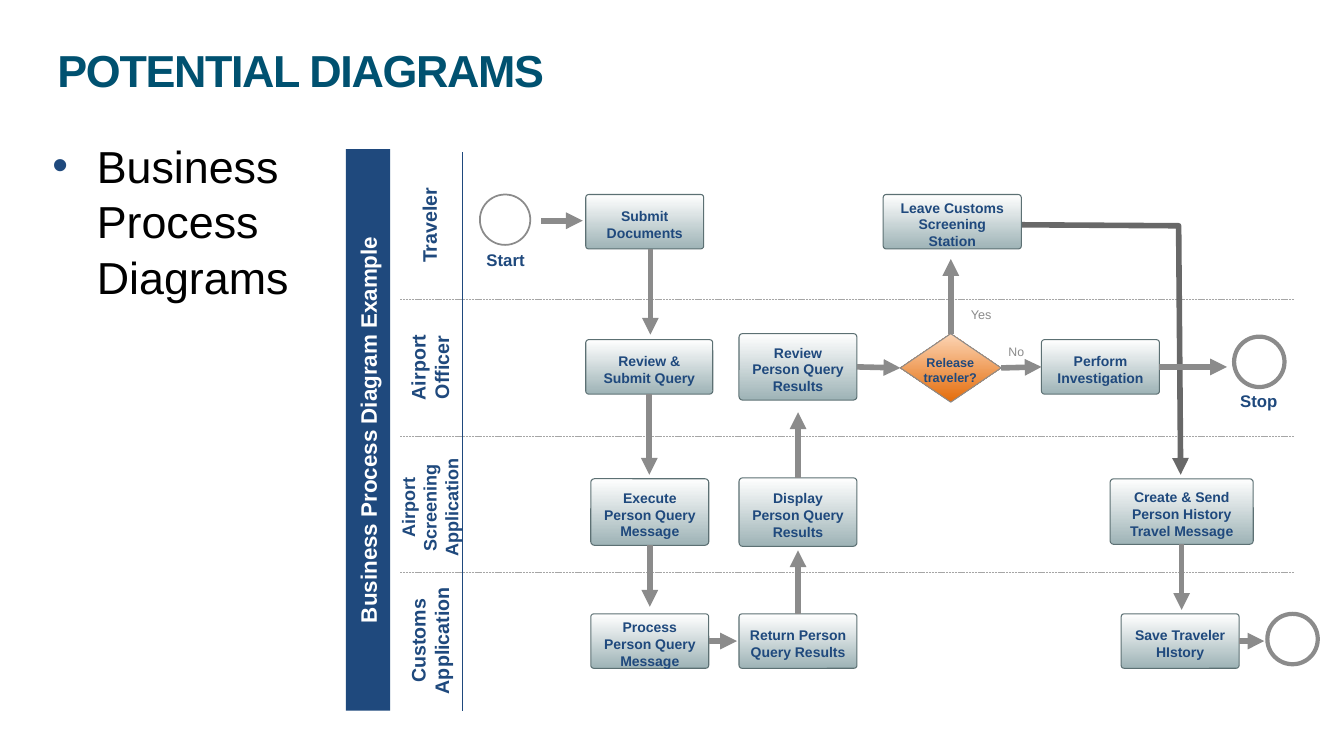
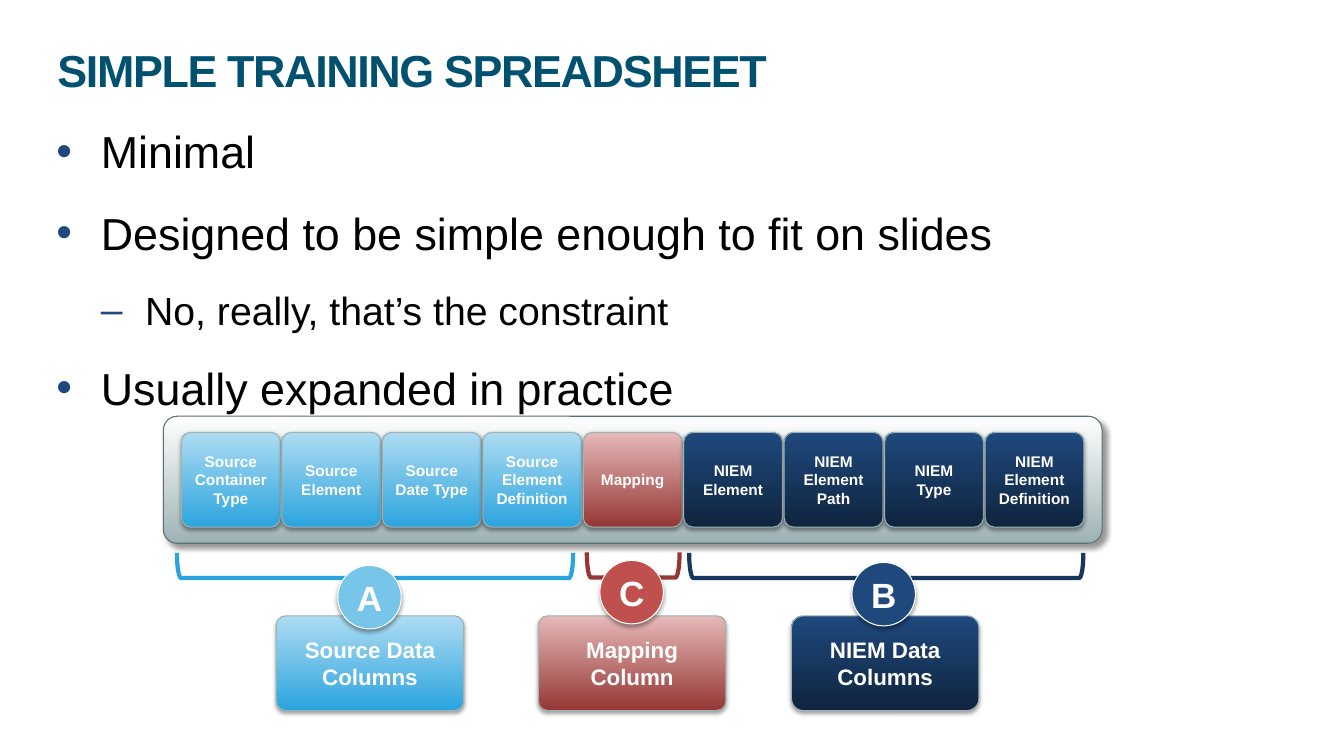
from lxml import etree
from pptx import Presentation
from pptx import util as u
from pptx.dml import color as dml_color
from pptx.enum import dml, shapes, text
from pptx.oxml import ns

NAVY, GRAY, WHITE, STEEL = "1F497D", "8B8B8B", "FFFFFF", "9EB3B6"
SILVER_FADE = (STEEL, WHITE)
SKY_FADE = ("2BA4DE", "AEDCF2")
RED_FADE = ("953735", "E6B9B8")
NAVY_FADE = ("0F243E", NAVY)
CHIP_SHADOW = (38, 3.1, 1.6, 90)
rgb = dml_color.RGBColor.from_string
kinds = shapes.MSO_SHAPE
STRAIGHT = shapes.MSO_CONNECTOR.STRAIGHT


def write(box, words, size=10, color=NAVY, bold=True, align=text.PP_ALIGN.CENTER,
          anchor=text.MSO_ANCHOR.MIDDLE, inset=(0.1, 0.05, 0.1, 0.05)):
    frame = box.text_frame
    para = frame.add_paragraph() if frame.text else frame.paragraphs[0]
    frame.word_wrap = True
    frame.auto_size = text.MSO_AUTO_SIZE.NONE
    frame.vertical_anchor = anchor
    frame.margin_left, frame.margin_top, frame.margin_right, frame.margin_bottom = map(u.Inches, inset)
    para.alignment = align
    span = para.add_run()
    span.text = words
    span.font.name = "Arial"
    span.font.size = u.Pt(size)
    span.font.bold = bold
    span.font.color.rgb = rgb(color)
    return para


def style(item, line=None, width=0.75, fill=None, shadow=None, arrow=False):
    if isinstance(fill, tuple):
        item.fill.gradient()
        item.fill.gradient_angle = 90
        for stop, color in zip(item.fill.gradient_stops, fill):
            stop.color.rgb = rgb(color)
    elif fill:
        item.fill.solid()
        item.fill.fore_color.rgb = rgb(fill)
    elif hasattr(item, "fill"):
        item.fill.background()
    if line:
        item.line.color.rgb = rgb(line)
        item.line.width = u.Pt(width)
    else:
        item.line.fill.background()
    properties = item._element.spPr
    if arrow:
        etree.SubElement(properties.find(ns.qn("a:ln")), ns.qn("a:tailEnd"), type="triangle")
    effects = etree.SubElement(properties, ns.qn("a:effectLst"))
    if shadow:
        alpha, blur, distance, angle = shadow
        outer = etree.SubElement(effects, ns.qn("a:outerShdw"), blurRad=str(u.Pt(blur)),
                                 dist=str(u.Pt(distance)), dir=str(angle * 60000),
                                 algn="ctr", rotWithShape="0")
        tone = etree.SubElement(outer, ns.qn("a:srgbClr"), val="000000")
        etree.SubElement(tone, ns.qn("a:alpha"), val=str(alpha * 1000))


deck = Presentation()
deck.slide_width, deck.slide_height = u.Inches(13.33), u.Inches(7.5)
layout = deck.slide_layouts[1]
heading = layout.placeholders[0]
heading.left, heading.top, heading.width, heading.height = map(u.Inches, (0, 0.45, 13.33, 0.58))

levels = [(32, 0.5, "•"), (28, 0.94, "–")]
outlines = [
    ("POTENTIAL DIAGRAMS", (0.38, 1.27, 3.82, 4.11), [("Business Process Diagrams", 0)]),
    ("SIMPLE TRAINING SPREADSHEET", (0.42, 1.13, 11.25, 3.14), [
        ("Minimal", 0),
        ("Designed to be simple enough to fit on slides", 0),
        ("No, really, that’s the constraint", 1),
        ("Usually expanded in practice", 0)]),
]
pages = []
for title, place, items in outlines:
    page = deck.slides.add_slide(layout)
    pages.append(page)
    para = write(page.shapes.title, title, size=32, color="005170",
                 align=text.PP_ALIGN.LEFT, inset=(0.57, 0.05, 0.1, 0.05))
    para.line_spacing = 0.8
    para.runs[0].font._element.set("spc", "-100")
    body = page.placeholders[1]
    body.left, body.top, body.width, body.height = map(u.Inches, place)
    for index, (words, level) in enumerate(items):
        size, margin, mark = levels[level]
        para = write(body, words, size=size, color="000000", bold=False, align=text.PP_ALIGN.LEFT,
                     anchor=text.MSO_ANCHOR.TOP, inset=(0.08, 0.08, 0.1, 0.05))
        para.level = level
        para.line_spacing = 1.04
        para.space_before = u.Pt(6 if index else 0)
        para.space_after = u.Pt(12)
        properties = para._p.get_or_add_pPr()
        properties.set("marL", str(u.Inches(margin)))
        properties.set("indent", str(u.Inches(-0.44)))
        bullet_color = etree.SubElement(properties, ns.qn("a:buClr"))
        etree.SubElement(bullet_color, ns.qn("a:srgbClr"), val=NAVY)
        etree.SubElement(properties, ns.qn("a:buChar"), char=mark)

process, spreadsheet = pages

banner = process.shapes.add_shape(kinds.RECTANGLE, *map(u.Inches, (3.43, 1.48, 0.44, 5.57)))
style(banner, fill=NAVY)
write(banner, "Business Process Diagram Example", size=16, color=WHITE)
banner.text_frame._txBody.bodyPr.set("vert", "vert270")

lanes = [
    ("Traveler", (3.53, 2.04, 1.45, 0.39), 14),
    ("Airport Officer", (3.59, 3.45, 1.34, 0.39), 14),
    ("Airport Screening Application", (3.59, 4.7, 1.34, 0.67), 12.9),
    ("Customs Application", (3.59, 6.02, 1.34, 0.67), 14),
]
for words, place, size in lanes:
    lane = process.shapes.add_textbox(*map(u.Inches, place))
    lane.rotation = 270
    write(lane, words, size=size)

for y in (2.97, 4.33, 5.68):
    divider = process.shapes.add_connector(STRAIGHT, *map(u.Inches, (3.97, y, 12.84, y)))
    style(divider, line="A6A6A6", width=0.5)
    divider.line.dash_style = dml.MSO_LINE.SQUARE_DOT
axis = process.shapes.add_connector(STRAIGHT, *map(u.Inches, (4.59, 1.51, 4.59, 7.05)))
style(axis, line=NAVY, width=1)

route = process.shapes.build_freeform(u.Inches(10.13), u.Inches(2.23))
route.add_line_segments([(u.Inches(x), u.Inches(y)) for x, y in ((11.69, 2.24), (11.71, 4.71))], close=False)
style(route.convert_to_shape(), line="686868", width=4, arrow=True)

steps = {
    "submit": ("Submit Documents", (5.81, 1.93, 1.17, 0.54)),
    "leave": ("Leave Customs Screening Station", (8.76, 1.93, 1.37, 0.54)),
    "query": ("Review & Submit Query", (5.81, 3.37, 1.26, 0.54)),
    "review": ("Review Person Query Results", (7.33, 3.31, 1.17, 0.66)),
    "perform": ("Perform Investigation", (10.33, 3.37, 1.17, 0.54)),
    "execute": ("Execute Person Query Message", (5.86, 4.75, 1.17, 0.66)),
    "display": ("Display Person Query Results", (7.33, 4.74, 1.17, 0.68)),
    "create": ("Create & Send Person History Travel Message", (11.01, 4.75, 1.42, 0.65)),
    "process": ("Process Person Query Message", (5.86, 6.09, 1.17, 0.54)),
    "return": ("Return Person Query Results", (7.33, 6.09, 1.17, 0.54)),
    "save": ("Save Traveler HIstory", (11.12, 6.09, 1.17, 0.54)),
}
boxes = {}
for name, (words, place) in steps.items():
    box = boxes[name] = process.shapes.add_shape(kinds.ROUNDED_RECTANGLE, *map(u.Inches, place))
    box.adjustments[0] = 0.054
    style(box, line="5C7073", fill=SILVER_FADE)
    write(box, words, inset=(0.1, 0.1, 0.1, 0.05))

decision = boxes["decision"] = process.shapes.add_shape(kinds.DIAMOND, *map(u.Inches, (8.93, 3.31, 1, 0.68)))
style(decision, line=GRAY, fill=("E46C0A", "FCD5B5"))

for x, y, width in ((4.76, 1.93, 1.25), (12.24, 3.34, 3), (12.57, 6.09, 3)):
    terminal = process.shapes.add_shape(kinds.OVAL, *map(u.Inches, (x, y, 0.5, 0.5)))
    style(terminal, line=GRAY, width=width)

labels = [
    ("Start", (4.63, 2.43, 0.77, 0.3), 12, NAVY, True),
    ("Stop", (12.1, 3.83, 0.77, 0.3), 12, NAVY, True),
    ("Release traveler?", (9.01, 3.47, 0.83, 0.45), 9, NAVY, True),
    ("Yes", (9.47, 3, 0.52, 0.23), 9, GRAY, False),
    ("No", (9.89, 3.37, 0.38, 0.23), 8.8, GRAY, False),
]
for words, place, size, color, bold in labels:
    label = process.shapes.add_textbox(*map(u.Inches, place))
    write(label, words, size=size, color=color, bold=bold, anchor=text.MSO_ANCHOR.TOP)

for start_x, start_y, end_x, end_y in ((5.37, 2.19, 5.78, 2.19), (6.45, 2.47, 6.45, 3.32)):
    arrow = process.shapes.add_connector(STRAIGHT, *map(u.Inches, (start_x, start_y, end_x, end_y)))
    style(arrow, line=GRAY, width=4, arrow=True)

TOP, LEFT, BOTTOM, RIGHT = range(4)
flows = [
    ("query", BOTTOM, 4.71, None),
    ("execute", BOTTOM, 6.02, None),
    ("process", RIGHT, 7.31, None),
    ("return", TOP, 5.46, None),
    ("display", TOP, 4.09, None),
    ("review", RIGHT, 8.93, "decision"),
    ("decision", TOP, 2.57, None),
    ("decision", RIGHT, 10.33, "perform"),
    ("perform", RIGHT, 12.17, None),
    ("create", BOTTOM, 6.05, None),
    ("save", RIGHT, 12.54, None),
]
for source, side, reach, target in flows:
    arrow = process.shapes.add_connector(STRAIGHT, 0, 0, 0, 0)
    arrow.begin_connect(boxes[source], side)
    arrow.end_x = u.Inches(reach) if side == RIGHT else arrow.begin_x
    arrow.end_y = arrow.begin_y if side == RIGHT else u.Inches(reach)
    if target:
        arrow.end_connect(boxes[target], LEFT)
    style(arrow, line=GRAY, width=4, arrow=True)

tray = spreadsheet.shapes.add_shape(kinds.ROUNDED_RECTANGLE, *map(u.Inches, (1.62, 4.13, 9.31, 1.26)))
tray.adjustments[0] = 0.109
style(tray, line="5C7073", fill=SILVER_FADE, shadow=(40, 4, 3, 45))

columns = [
    ("Source Container Type", SKY_FADE), ("Source Element", SKY_FADE),
    ("Source Date Type", SKY_FADE), ("Source Element Definition", SKY_FADE),
    ("Mapping", RED_FADE),
    ("NIEM Element", NAVY_FADE), ("NIEM Element Path", NAVY_FADE),
    ("NIEM Type", NAVY_FADE), ("NIEM Element Definition", NAVY_FADE),
]
pitch = (9.77 - 1.8) / (len(columns) - 1)
chips = [(words, fade, (1.8 + index * pitch, 4.29, 0.98, 0.94), 11, 0.1)
         for index, (words, fade) in enumerate(columns)]
chips += [
    ("Source Data Columns", SKY_FADE, (2.74, 6.11, 1.86, 0.94), 16, 0.1),
    ("Mapping Column", RED_FADE, (5.34, 6.11, 1.86, 0.94), 16, 0.1),
    ("NIEM Data Columns", NAVY_FADE, (7.85, 6.11, 1.86, 0.94), 16, 0.127),
]
for words, fade, place, size, corner in chips:
    chip = spreadsheet.shapes.add_shape(kinds.ROUNDED_RECTANGLE, *map(u.Inches, place))
    chip.adjustments[0] = corner
    style(chip, line=STEEL, fill=fade, shadow=CHIP_SHADOW)
    write(chip, words, size=size, color=WHITE)

badges = [
    ("A", (3.47, 3.77, 0.5, 3.93), 0.488, "2BA4DE", (3.35, 5.61), "78C5EA"),
    ("B", (8.54, 3.78, 0.5, 3.91), 0.497, "17375E", (8.45, 5.58), NAVY),
    ("C", (6.03, 5.27, 0.5, 0.92), 0.482, "953735", (5.95, 5.56), "C0504D"),
]
for letter, place, tip, line, corner, fill in badges:
    brace = spreadsheet.shapes.add_shape(kinds.LEFT_BRACE, *map(u.Inches, place))
    brace.rotation = 270
    brace.adjustments[0], brace.adjustments[1] = 0.083, tip
    style(brace, line=line, width=3)
    badge = spreadsheet.shapes.add_shape(kinds.OVAL, *map(u.Inches, (*corner, 0.63, 0.63)))
    style(badge, line=WHITE, fill=fill, shadow=(35, 3.1, 1.8, 90))
    write(badge, letter, size=25, color=WHITE, inset=(0, 0, 0, 0))

deck.save("out.pptx")
